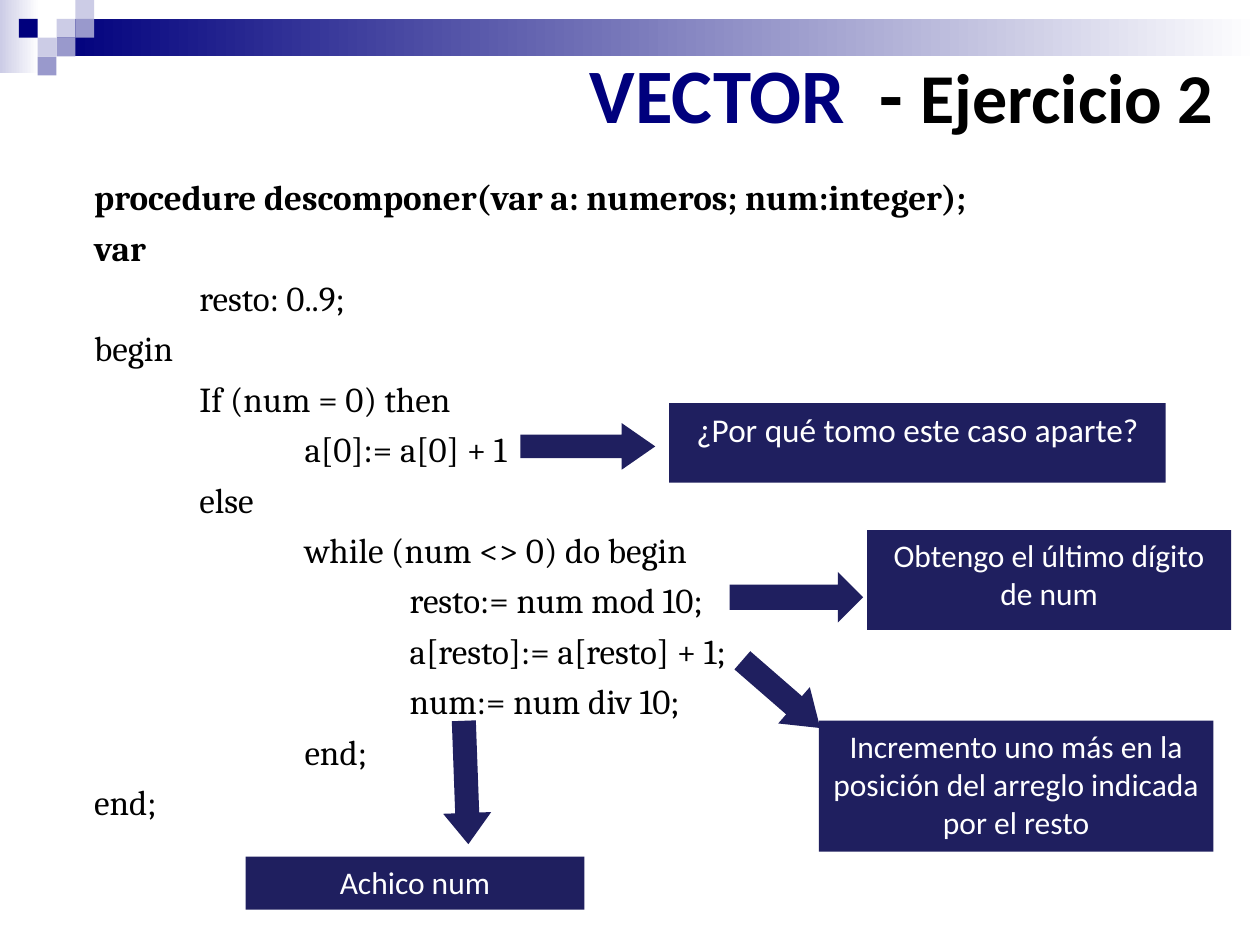
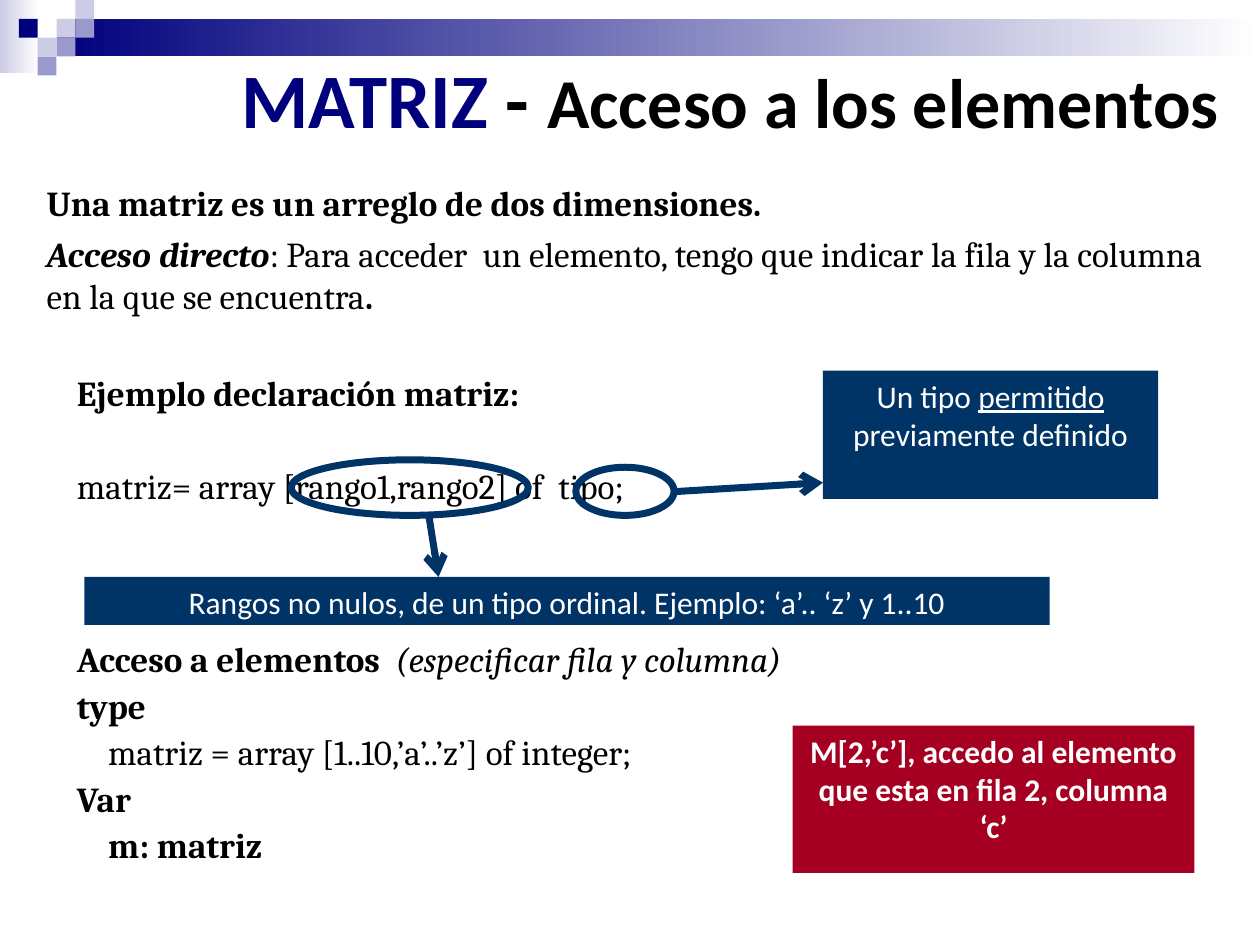
"""Build two programming-class slides: a vector exercise and access to matrix elements."""
from dataclasses import dataclass

from lxml import etree
from pptx import Presentation
from pptx.dml.color import RGBColor
from pptx.enum.shapes import MSO_CONNECTOR, MSO_SHAPE
from pptx.enum.text import MSO_ANCHOR, PP_ALIGN
from pptx.oxml.ns import qn
from pptx.util import Cm, Pt

RECTANGLE, ARROW, ELLIPSE = MSO_SHAPE.RECTANGLE, MSO_SHAPE.RIGHT_ARROW, MSO_SHAPE.OVAL
STRAIGHT = MSO_CONNECTOR.STRAIGHT
TOP, BOTTOM = MSO_ANCHOR.TOP, MSO_ANCHOR.BOTTOM
CENTER, RIGHT = PP_ALIGN.CENTER, PP_ALIGN.RIGHT


@dataclass(frozen=True)
class Theme:
    navy: str = "00007D"
    lavender: str = "CCCCE6"
    violet: str = "9999CC"
    indigo: str = "1F1F5F"
    marine: str = "003366"
    crimson: str = "A50021"
    black: str = "000000"
    white: str = "FFFFFF"
    sans: str = "Calibri"
    serif: str = "Cambria"
    keyword_size: int = 44
    title_size: int = 40
    body_size: int = 20
    large_note_size: int = 19
    note_size: int = 18
    outline: int = 4


theme = Theme()


def add_block(page, kind, place, color=None):
    block = page.shapes.add_shape(kind, *map(Cm, place))
    block.shadow.inherit = False
    block.line.fill.background()
    if color:
        block.fill.solid()
        block.fill.fore_color.rgb = RGBColor.from_string(color)
    else:
        block.fill.background()
    return block


def write_spans(para, spans, face, size, color):
    for text, flags in spans:
        span = para.add_run()
        span.text = text
        span.font.name = face
        span.font.size = Pt(size)
        span.font.color.rgb = RGBColor.from_string(color)
        span.font.bold = "b" in flags
        span.font.italic = "i" in flags
        span.font.underline = "u" in flags


deck = Presentation()
deck.slide_width, deck.slide_height = Cm(25.4), Cm(19.05)
layout = deck.slide_layouts[6]
vector_page = deck.slides.add_slide(layout)
matrix_page = deck.slides.add_slide(layout)

decoration = []
for place, color in [
    ((0, 0, 0.79, 1.47), theme.lavender),
    ((1.14, 0.38, 24.26, 0.76), theme.navy),
]:
    band = add_block(vector_page, RECTANGLE, place)
    band.fill.gradient()
    band.fill.gradient_angle = 0
    for stop, stop_color in zip(band.fill.gradient_stops, (color, theme.white)):
        stop.color.rgb = RGBColor.from_string(stop_color)
    decoration.append(band)

side = 0.38
for column, row, color in [
    (3, 1, theme.lavender),
    (4, 0, theme.lavender),
    (4, 1, theme.violet),
    (2, 2, theme.lavender),
    (1, 1, theme.navy),
    (3, 2, theme.violet),
    (2, 3, theme.violet),
]:
    place = (column * side, row * side, side, side)
    decoration.append(add_block(vector_page, RECTANGLE, place, color))

for shape in decoration:
    layout.shapes._spTree.append(shape._element)

titles = [
    (vector_page, (0.99, 1.22, 23.72, 1.83), "VECTOR", "  - ", "Ejercicio 2"),
    (matrix_page, (1.91, 1.73, 22.91, 1.42), "MATRIZ", " - ", "Acceso a los elementos"),
]
for page, place, keyword, dash, topic in titles:
    box = page.shapes.add_textbox(*map(Cm, place))
    frame = box.text_frame
    frame.word_wrap = True
    frame.vertical_anchor = BOTTOM
    frame.margin_bottom = Cm(0.25)
    para = frame.paragraphs[0]
    para.alignment = RIGHT
    write_spans(para, [(keyword, "b")], theme.sans, theme.keyword_size, theme.navy)
    write_spans(para, [(dash, "b")], theme.sans, theme.keyword_size, theme.black)
    write_spans(para, [(topic, "b")], theme.sans, theme.title_size, theme.black)

procedure = [
    (0, 0, [("procedure descomponer(var a: numeros; num:integer);", "b")]),
    (0, 0, [("var", "b")]),
    (1, 0, [("resto: 0..9;", "")]),
    (0, 0, [("begin", "")]),
    (1, 0, [("If (num = 0) then", "")]),
    (2, 0, [("a[0]:= a[0] + 1", "")]),
    (1, 0, [("else", "")]),
    (2, 0, [("while (num <> 0) do begin", "")]),
    (3, 0, [("resto:= num mod 10;", "")]),
    (3, 0, [("a[resto]:= a[resto] + 1;", "")]),
    (3, 0, [("num:= num div 10;", "")]),
    (2, 0, [("end;", "")]),
    (0, 0, [("end;", "")]),
]
introduction = [
    (0, 0, [("Una matriz es un arreglo de dos dimensiones.", "b")]),
    (0, 5, [
        ("Acceso directo", "bi"),
        (": Para acceder  un elemento, tengo que indicar la fila y la columna "
         "en la que se encuentra", ""),
        (".", "b"),
    ]),
]
declaration = [
    (0, 0, [("Ejemplo declaración matriz:", "b")]),
    (0, 31.5, [("matriz= array [rango1,rango2] of  tipo;", "")]),
]
element_access = [
    (0, 0, [("Acceso a elementos  ", "b"), ("(especificar fila y columna)", "i")]),
    (0, 5, [("type", "b")]),
    (1, 5, [("matriz = array [1..10,’a’..’z’] of integer;", "")]),
    (0, 5, [("Var", "b")]),
    (1, 5, [("m: matriz", "b")]),
]
bodies = [
    (vector_page, (1.65, 3.25, 19, 14.48), 1.2, 2.12, procedure),
    (matrix_page, (0.69, 3.53, 24, 3.15), 1.0, 0, introduction),
    (matrix_page, (1.3, 7.47, 21.23, 3.76), 0.9, 0, declaration),
    (matrix_page, (1.3, 12.83, 21.23, 5.94), 0.9, 0.63, element_access),
]
for page, place, line_spacing, indent, lines in bodies:
    box = page.shapes.add_textbox(*map(Cm, place))
    frame = box.text_frame
    frame.word_wrap = True
    for index, (level, gap, spans) in enumerate(lines):
        para = frame.add_paragraph() if index else frame.paragraphs[0]
        para.line_spacing = line_spacing
        para.space_before = Pt(gap)
        para._p.get_or_add_pPr().set("marL", str(Cm(level * indent)))
        write_spans(para, spans, theme.serif, theme.body_size, theme.black)

for place, head_ratio, rotation in [
    ((10.49, 8.53, 2.72, 0.94), 0.72, 0),
    ((14.71, 11.53, 2.69, 1.02), 0.5, 0),
    ((14.71, 13.51, 2.08, 0.97), 0.72, 41),
    ((8.15, 15.29, 2.49, 0.97), 0.65, 87.9),
]:
    arrow = add_block(vector_page, ARROW, place, theme.indigo)
    arrow.adjustments[1] = head_ratio
    arrow.rotation = rotation

notes = [
    (vector_page, (13.49, 8.13, 10.01, 1.6), theme.indigo, theme.large_note_size,
     [("¿Por qué tomo este caso aparte?", "")]),
    (vector_page, (17.48, 10.69, 7.34, 2.01), theme.indigo, theme.note_size,
     [("Obtengo el último dígito de num", "")]),
    (vector_page, (16.51, 14.53, 7.95, 2.64), theme.indigo, theme.note_size,
     [("Incremento uno más en la posición del arreglo indicada por el resto", "")]),
    (vector_page, (4.95, 17.27, 6.83, 1.07), theme.indigo, theme.note_size,
     [("Achico num", "")]),
    (matrix_page, (16.59, 7.47, 6.76, 2.59), theme.marine, theme.note_size,
     [("Un tipo ", ""), ("permitido", "u"), (" previamente definido", "")]),
    (matrix_page, (1.7, 11.63, 19.46, 0.97), theme.marine, theme.note_size,
     [("Rangos no nulos, de un tipo ordinal. Ejemplo: ‘a’.. ‘z’ y 1..10", "")]),
    (matrix_page, (15.98, 14.63, 8.1, 2.97), theme.crimson, theme.note_size,
     [("M[2,’c’], accedo al elemento que esta en fila 2, columna ‘c’", "b")]),
]
for page, place, color, size, spans in notes:
    note = add_block(page, RECTANGLE, place, color)
    frame = note.text_frame
    frame.word_wrap = True
    frame.vertical_anchor = TOP
    para = frame.paragraphs[0]
    para.alignment = CENTER
    write_spans(para, spans, theme.sans, size, theme.white)

for ring_place, pointer_ends in [
    ((11.61, 9.42, 1.98, 0.97), (13.61, 9.91, 16.59, 9.73)),
    ((5.87, 9.27, 4.78, 1.12), (8.64, 10.36, 8.84, 11.63)),
]:
    ring = add_block(matrix_page, ELLIPSE, ring_place)
    pointer = matrix_page.shapes.add_connector(STRAIGHT, *map(Cm, pointer_ends))
    for shape in (ring, pointer):
        shape.line.color.rgb = RGBColor.from_string(theme.marine)
        shape.line.width = Pt(theme.outline)
    etree.SubElement(pointer.line._get_or_add_ln(), qn("a:tailEnd"), type="arrow")
    etree.SubElement(pointer._element.spPr, qn("a:effectLst"))

deck.save("out.pptx")
